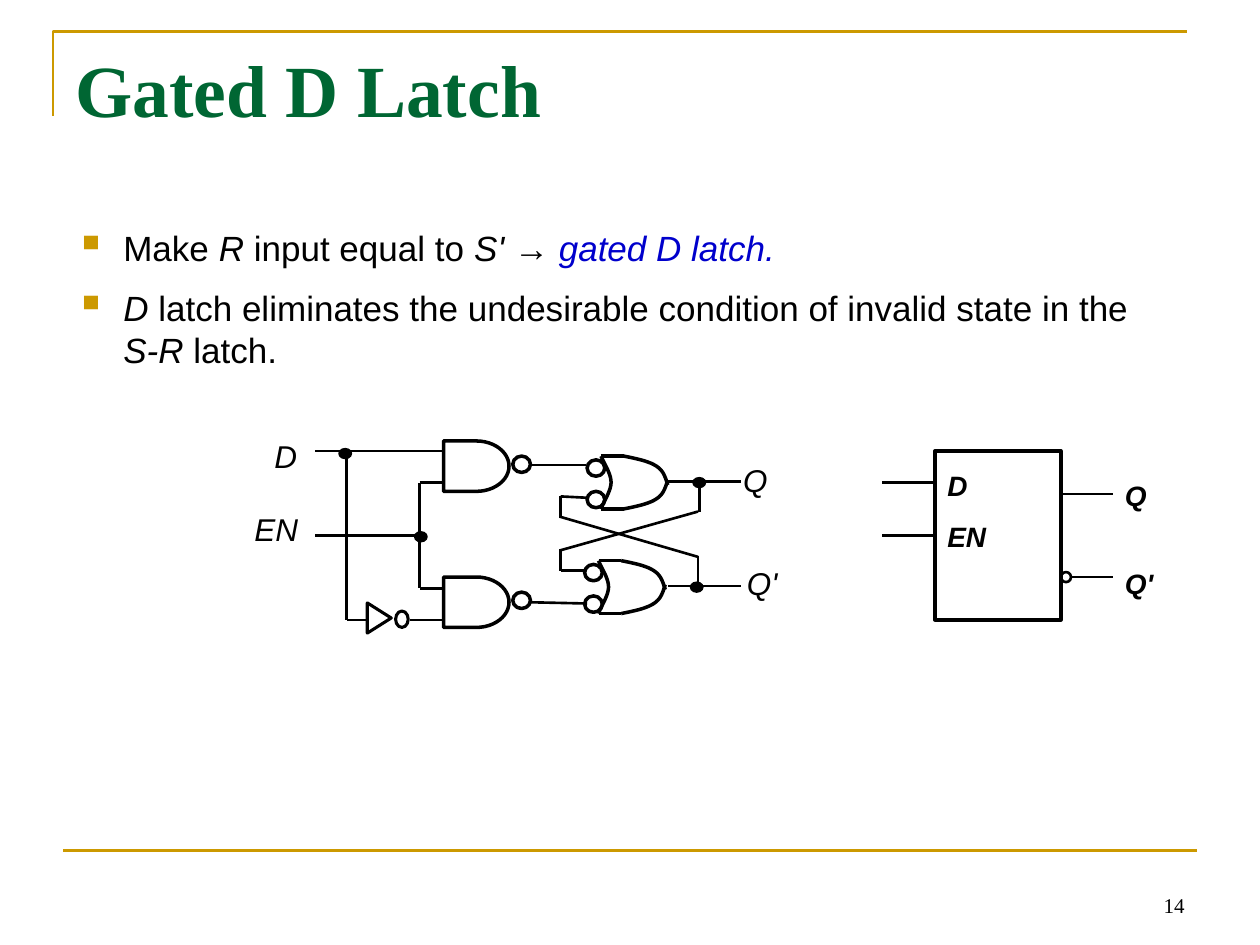
from lxml import etree
from pptx import Presentation
from pptx.dml.color import RGBColor
from pptx.enum.shapes import MSO_CONNECTOR, MSO_SHAPE
from pptx.enum.text import MSO_ANCHOR, PP_ALIGN
from pptx.oxml.ns import qn
from pptx.util import Inches, Pt

STRAIGHT = MSO_CONNECTOR.STRAIGHT
RECTANGLE, OVAL = MSO_SHAPE.RECTANGLE, MSO_SHAPE.OVAL
DELAY, EXTRACT = MSO_SHAPE.FLOWCHART_DELAY, MSO_SHAPE.FLOWCHART_EXTRACT
TOP, BOTTOM = MSO_ANCHOR.TOP, MSO_ANCHOR.BOTTOM
LEFT, RIGHT = PP_ALIGN.LEFT, PP_ALIGN.RIGHT
LEFT_SIDE = 1

COLORS = {"gold": "CC9900", "green": "006633", "blue": "0000CC", "black": "000000"}

TITLE = "Gated D Latch"
PAGE_NUMBER = "14"
# Each run: text, italic, colour
BULLETS = [
    [("Make ", False, "black"), ("R", True, "black"), (" input equal to ", False, "black"),
     ("S' ", True, "black"), ("→ ", False, "black"), ("gated D latch.", True, "blue")],
    [("D", True, "black"),
     (" latch eliminates the undesirable condition of invalid state in the ", False, "black"),
     ("S-R", True, "black"), (" latch.", False, "black")],
]
SIGNAL_LABELS = [("D", 2.08, 3.42), ("EN", 1.92, 4), ("Q", 5.8, 3.61), ("Q'", 5.83, 4.43)]
BLOCK_LABELS = [(["D", "EN"], 7.42, 3.67, 0.58, 0.77, 10),
                (["Q", "Q'"], 8.83, 3.75, 0.5, 1.07, 31)]

BLOCK = (7.42, 3.58, 1, 1.34)
BLOCK_ENABLE = (7, 4.25, 7.42, 4.25)
BLOCK_WIRES = [(7, 3.83, 7.42, 3.83), (8.42, 3.92, 8.83, 3.92), (8.5, 4.58, 8.83, 4.58)]
INPUT_WIRES = [
    (2.5, 3.58, 3.51, 3.58), (2.75, 3.58, 2.75, 4.92), (2.75, 4.92, 2.92, 4.92),
    (3.25, 4.92, 3.52, 4.92), (2.5, 4.25, 3.33, 4.25), (3.33, 3.83, 3.33, 4.67),
    (3.33, 3.83, 3.52, 3.83), (3.33, 4.67, 3.52, 4.67),
]
LATCH_WIRES = [
    (4.22, 3.69, 4.65, 3.69), (4.21, 4.78, 4.66, 4.79),
    (4.45, 3.94, 4.65, 3.95), (4.45, 4.53, 4.65, 4.53),
    (4.45, 3.94, 4.45, 4.11), (4.45, 4.36, 4.45, 4.53),
    (5.3, 3.82, 5.88, 3.82), (5.3, 4.65, 5.88, 4.65),
    (5.54, 4.41, 5.54, 4.67), (5.55, 3.82, 5.55, 4.06),
    (4.44, 4.1, 5.54, 4.42), (5.54, 4.06, 4.44, 4.37),
]
JUNCTIONS = [(2.69, 3.56), (3.29, 4.22), (5.5, 3.79), (5.48, 4.62)]
NAND_GATES = [(3.52, 3.5), (3.52, 4.58)]
OR_GATES = [(4.77, 3.62), (4.75, 4.45)]
OR_EDGES = [(0, 0, 0.18, 0), (0, 0.42, 0.18, 0.42)]
OR_CURVES = [
    [(0, 0), (0.03, 0.07), (0.08, 0.14), (0.08, 0.21), (0.08, 0.28), (0.01, 0.38), (0, 0.42)],
    [(0.18, 0), (0.28, 0.02), (0.38, 0.04), (0.44, 0.08), (0.5, 0.12), (0.51, 0.17), (0.53, 0.23)],
    [(0.18, 0.42), (0.28, 0.4), (0.38, 0.38), (0.44, 0.34), (0.5, 0.3), (0.51, 0.25), (0.53, 0.19)],
]
OR_BUBBLES = [(-0.11, 0.03), (-0.11, 0.28)]


def rgb(name):
    return RGBColor.from_string(COLORS[name])


def set_font(font, size, face="Arial", color="black", bold=False, italic=None):
    font.size, font.name, font.bold, font.italic = Pt(size), face, bold, italic
    font.color.rgb = rgb(color)


def add_wire(slide, ends, width=1.5, color="black"):
    wire = slide.shapes.add_connector(STRAIGHT, *map(Inches, ends))
    wire.line.width = Pt(width)
    wire.line.color.rgb = rgb(color)
    etree.SubElement(wire._element.spPr, qn("a:effectLst"))
    return wire


def outline(shape, width, color="black", filled=False):
    shape.shadow.inherit = False
    shape.line.width = Pt(width)
    shape.line.color.rgb = rgb(color)
    if filled:
        shape.fill.solid()
        shape.fill.fore_color.rgb = rgb(color)
    else:
        shape.fill.background()
    return shape


def add_symbol(slide, preset, box, width, filled=False):
    return outline(slide.shapes.add_shape(preset, *map(Inches, box)), width, filled=filled)


def add_path(slide, points, width, color="black"):
    start, *rest = [(Inches(x), Inches(y)) for x, y in points]
    builder = slide.shapes.build_freeform(*start)
    builder.add_line_segments(rest, close=False)
    outline(builder.convert_to_shape(), width, color)


def bezier_points(controls, steps=10):
    points = [controls[0]]
    for first in range(0, len(controls) - 1, 3):
        a, b, c, d = controls[first:first + 4]
        for step in range(1, steps + 1):
            t = step / steps
            u = 1 - t
            points.append(tuple(u**3 * a[k] + 3 * u * u * t * b[k] + 3 * u * t * t * c[k] + t**3 * d[k]
                                for k in (0, 1)))
    return points


def add_label(slide, lines, box, size, gap=0, face="Arial", bold=False, italic=True,
              align=LEFT, anchor=TOP):
    frame = slide.shapes.add_textbox(*map(Inches, box)).text_frame
    frame.word_wrap = True
    frame.vertical_anchor = anchor
    frame.text = "\n".join(lines)
    for index, paragraph in enumerate(frame.paragraphs):
        paragraph.alignment = align
        paragraph.space_before = Pt(gap if index else 0)
        set_font(paragraph.font, size, face, bold=bold, italic=italic)


def add_title(slide):
    title = slide.shapes.title
    title.left, title.top, title.width, title.height = map(Inches, (0.5, 0.3, 9, 1.25))
    title.text_frame.text = TITLE
    title.text_frame.vertical_anchor = TOP
    paragraph = title.text_frame.paragraphs[0]
    paragraph.alignment = LEFT
    set_font(paragraph.font, 42, "Times New Roman", "green", bold=True)


def add_bullets(slide):
    frame = slide.shapes.add_textbox(*map(Inches, (0.5, 1.75, 8.91, 1.51))).text_frame
    frame.word_wrap = True
    for index, runs in enumerate(BULLETS):
        paragraph = frame.add_paragraph() if index else frame.paragraphs[0]
        paragraph.space_before = Pt(10 if index else 0)
        properties = paragraph._p.get_or_add_pPr()
        properties.set("marL", str(Inches(0.38)))
        properties.set("indent", str(-Inches(0.38)))
        bullet_color = etree.SubElement(properties, qn("a:buClr"))
        etree.SubElement(bullet_color, qn("a:srgbClr"), val=COLORS["gold"])
        etree.SubElement(properties, qn("a:buSzPct"), val="120000")
        etree.SubElement(properties, qn("a:buChar"), char="▪")
        for text, italic, color in runs:
            run = paragraph.add_run()
            run.text = text
            set_font(run.font, 20, color=color, italic=italic)


def add_block(slide):
    block = add_symbol(slide, RECTANGLE, BLOCK, 2)
    for ends in BLOCK_WIRES:
        add_wire(slide, ends)
    add_wire(slide, BLOCK_ENABLE).end_connect(block, LEFT_SIDE)
    add_symbol(slide, OVAL, (8.42, 4.54, 0.08, 0.08), 1.5)
    for lines, left, top, width, height, gap in BLOCK_LABELS:
        add_label(slide, lines, (left, top, width, height), 16, gap, bold=True)


def add_circuit(slide):
    for ends in INPUT_WIRES + LATCH_WIRES:
        add_wire(slide, ends)
    for x, y in JUNCTIONS:
        add_symbol(slide, OVAL, (x, y, 0.1, 0.08), 0.75, filled=True)
    for x, y in NAND_GATES:
        add_symbol(slide, DELAY, (x, y, 0.52, 0.4), 2)
        add_symbol(slide, OVAL, (x + 0.55, y + 0.12, 0.14, 0.13), 2)
    for x, y in OR_GATES:
        for x1, y1, x2, y2 in OR_EDGES:
            add_wire(slide, (x + x1, y + y1, x + x2, y + y2), 2)
        for controls in OR_CURVES:
            add_path(slide, bezier_points([(x + dx, y + dy) for dx, dy in controls]), 2)
        for dx, dy in OR_BUBBLES:
            add_symbol(slide, OVAL, (x + dx, y + dy, 0.14, 0.13), 2)
    add_symbol(slide, EXTRACT, (2.89, 4.81, 0.24, 0.19), 1.75).rotation = 90
    add_symbol(slide, OVAL, (3.14, 4.85, 0.1, 0.13), 1.75)
    for text, left, top in SIGNAL_LABELS:
        add_label(slide, [text], (left, top, 0.6, 0.4), 18)


def main():
    """Build the gated D latch slide."""
    deck = Presentation()
    deck.slide_width, deck.slide_height = Inches(10), Inches(7.5)
    slide = deck.slides.add_slide(deck.slide_layouts[5])
    add_path(slide, [(0.42, 0.92), (0.42, 0.25), (9.42, 0.25)], 1.5, "gold")
    add_wire(slide, (0.5, 6.75, 9.5, 6.75), color="gold")
    add_label(slide, [PAGE_NUMBER], (7.17, 6.83, 2.33, 0.5), 12, face="Times New Roman",
              italic=False, align=RIGHT, anchor=BOTTOM)
    add_title(slide)
    add_bullets(slide)
    add_block(slide)
    add_circuit(slide)
    deck.save("out.pptx")


if __name__ == "__main__":
    main()
